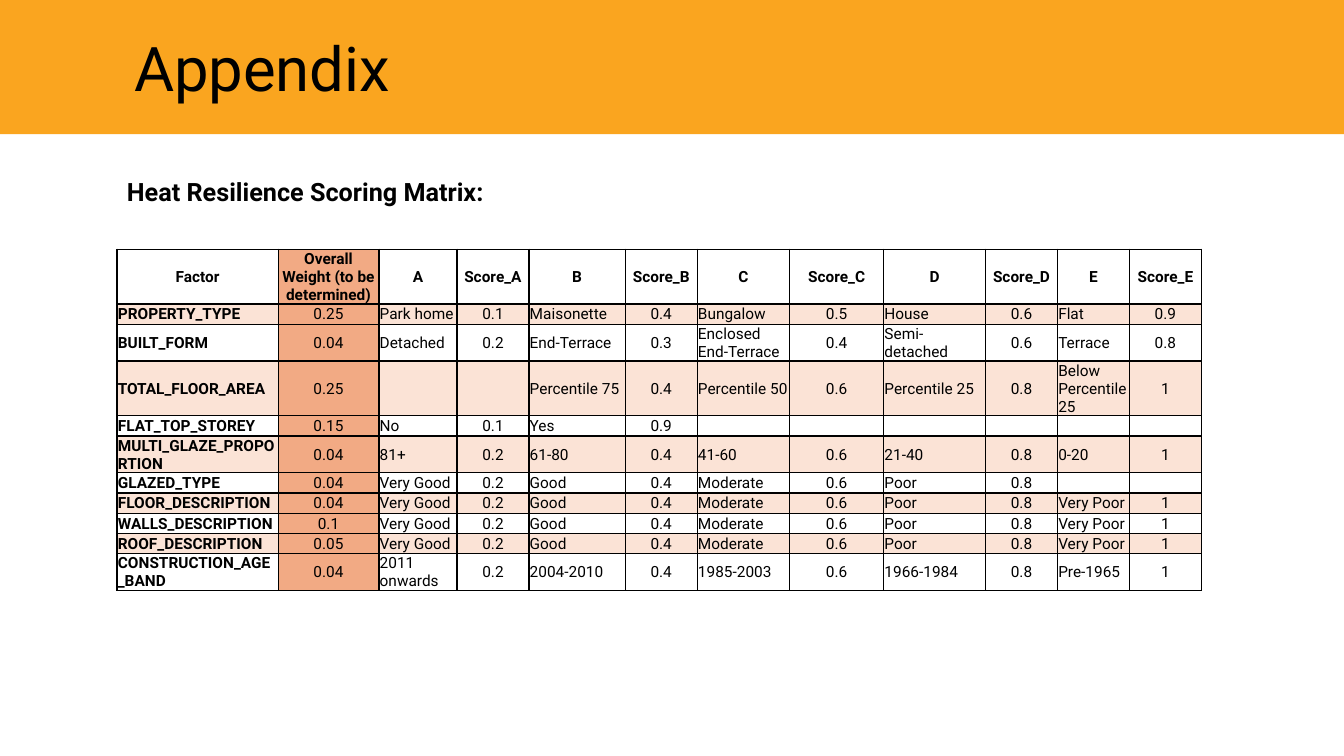
from lxml.etree import SubElement
from pptx import Presentation
from pptx.dml.color import RGBColor
from pptx.enum.shapes import MSO_SHAPE
from pptx.enum.text import MSO_ANCHOR, MSO_AUTO_SIZE, PP_ALIGN
from pptx.oxml.ns import qn
from pptx.util import Cm, Pt

BLACK = RGBColor(0x00, 0x00, 0x00)
WHITE = RGBColor(0xFF, 0xFF, 0xFF)
ORANGE = RGBColor(0xFA, 0xA5, 0x1F)
SALMON = RGBColor(0xF2, 0xAA, 0x84)
PEACH = RGBColor(0xFB, 0xE3, 0xD6)

FONT = "Roboto"
CELL_SIZE = Pt(11)
WEIGHT_COLUMN = 1
COLUMN_WIDTHS = [4.06, 2.54, 1.97, 1.81, 2.43, 1.81, 2.33, 2.37, 2.57, 1.81, 1.82, 1.8]
HEADER_HEIGHT = 0.43
ROW_HEIGHT = 0.51
CELL_FORMAT = {
    "margin_left": Cm(0.02),
    "margin_right": Cm(0.02),
    "margin_top": Cm(0.02),
    "margin_bottom": Cm(0),
    "vertical_anchor": MSO_ANCHOR.MIDDLE,
}
HEADINGS = [
    "Factor", "Overall Weight (to be determined)", "A", "Score_A", "B", "Score_B",
    "C", "Score_C", "D", "Score_D", "E", "Score_E",
]
FACTORS = [
    ["PROPERTY_TYPE", "0.25", "Park home", "0.1", "Maisonette", "0.4",
     "Bungalow", "0.5", "House", "0.6", "Flat", "0.9"],
    ["BUILT_FORM", "0.04", "Detached", "0.2", "End-Terrace", "0.3",
     "Enclosed End-Terrace", "0.4", "Semi-detached", "0.6", "Terrace", "0.8"],
    ["TOTAL_FLOOR_AREA", "0.25", "", "", "Percentile 75", "0.4",
     "Percentile 50", "0.6", "Percentile 25", "0.8", "Below Percentile 25", "1"],
    ["FLAT_TOP_STOREY", "0.15", "No", "0.1", "Yes", "0.9", "", "", "", "", "", ""],
    ["MULTI_GLAZE_PROPORTION", "0.04", "81+", "0.2", "61-80", "0.4",
     "41-60", "0.6", "21-40", "0.8", "0-20", "1"],
]
QUALITY_SCORES = ["Very Good", "0.2", "Good", "0.4", "Moderate", "0.6", "Poor", "0.8"]
FACTORS += [
    ["GLAZED_TYPE", "0.04", *QUALITY_SCORES, "", ""],
    ["FLOOR_DESCRIPTION", "0.04", *QUALITY_SCORES, "Very Poor", "1"],
    ["WALLS_DESCRIPTION", "0.1", *QUALITY_SCORES, "Very Poor", "1"],
    ["ROOF_DESCRIPTION", "0.05", *QUALITY_SCORES, "Very Poor", "1"],
    ["CONSTRUCTION_AGE_BAND", "0.04", "2011 onwards", "0.2", "2004-2010", "0.4",
     "1985-2003", "0.6", "1966-1984", "0.8", "Pre-1965", "1"],
]


def apply_format(target, values):
    """Set each named attribute of the target."""
    for name, value in values.items():
        setattr(target, name, value)


def write_text(paragraph, text, size, bold=False, align=PP_ALIGN.LEFT):
    """Write one black run into a paragraph."""
    paragraph.alignment = align
    run = paragraph.add_run()
    run.text = text
    apply_format(run.font, {"name": FONT, "size": size, "bold": bold})
    run.font.color.rgb = BLACK


def add_title_band(slide, title):
    """Add the full-width band that carries the slide title."""
    band = slide.shapes.add_shape(MSO_SHAPE.RECTANGLE, Cm(-0.02), Cm(0), Cm(33.89), Cm(3.38))
    band.shadow.inherit = False
    band.fill.solid()
    band.fill.fore_color.rgb = ORANGE
    band.line.fill.background()
    apply_format(band.text_frame, {
        "margin_left": Cm(3.4), "vertical_anchor": MSO_ANCHOR.MIDDLE, "word_wrap": True,
    })
    write_text(band.text_frame.paragraphs[0], title, Pt(44))


def add_subtitle(slide, subtitle):
    """Add the bold heading above the matrix."""
    heading = slide.shapes.add_textbox(Cm(2.95), Cm(4.32), Cm(15.29), Cm(1.03))
    apply_format(heading.text_frame, {
        "word_wrap": True, "auto_size": MSO_AUTO_SIZE.SHAPE_TO_FIT_TEXT,
    })
    write_text(heading.text_frame.paragraphs[0], subtitle, Pt(18), bold=True)


def add_borders(cell):
    """Draw a thin black border on every side of a cell."""
    properties = cell._tc.get_or_add_tcPr()
    for side in ("lnL", "lnR", "lnT", "lnB"):
        border = SubElement(properties, qn(f"a:{side}"), w=str(Pt(1)))
        fill = SubElement(border, qn("a:solidFill"))
        SubElement(fill, qn("a:srgbClr"), val=str(BLACK))


def fill_cell(cell, text, row, column):
    """Style one matrix cell by its place and write its text."""
    apply_format(cell, CELL_FORMAT)
    add_borders(cell)
    band_color = PEACH if row % 2 else WHITE
    cell.fill.solid()
    cell.fill.fore_color.rgb = SALMON if column == WEIGHT_COLUMN else band_color
    paragraph = cell.text_frame.paragraphs[0]
    if text:
        centred = row == 0 or column % 2 == 1
        align = PP_ALIGN.CENTER if centred else PP_ALIGN.LEFT
        write_text(paragraph, text, CELL_SIZE, row == 0 or column == 0, align)
    else:
        SubElement(paragraph._p, qn("a:endParaRPr"), sz=str(CELL_SIZE.centipoints))


def add_matrix(slide, records):
    """Add the scoring table."""
    heights = [HEADER_HEIGHT] + [ROW_HEIGHT] * (len(records) - 1)
    matrix = slide.shapes.add_table(
        len(records), len(COLUMN_WIDTHS), Cm(2.95), Cm(6.28),
        Cm(sum(COLUMN_WIDTHS)), Cm(sum(heights)),
    ).table
    apply_format(matrix, {"first_row": False, "horz_banding": False})
    for column, width in zip(matrix.columns, COLUMN_WIDTHS):
        column.width = Cm(width)
    for row, height in zip(matrix.rows, heights):
        row.height = Cm(height)
    for row, record in enumerate(records):
        for column, text in enumerate(record):
            fill_cell(matrix.cell(row, column), text, row, column)


def main():
    """Build the appendix slide and save it."""
    deck = Presentation()
    apply_format(deck, {"slide_width": Cm(33.87), "slide_height": Cm(19.05)})
    slide = deck.slides.add_slide(deck.slide_layouts[6])
    add_title_band(slide, "Appendix")
    add_matrix(slide, [HEADINGS] + FACTORS)
    add_subtitle(slide, "Heat Resilience Scoring Matrix:")
    deck.save("out.pptx")


if __name__ == "__main__":
    main()
